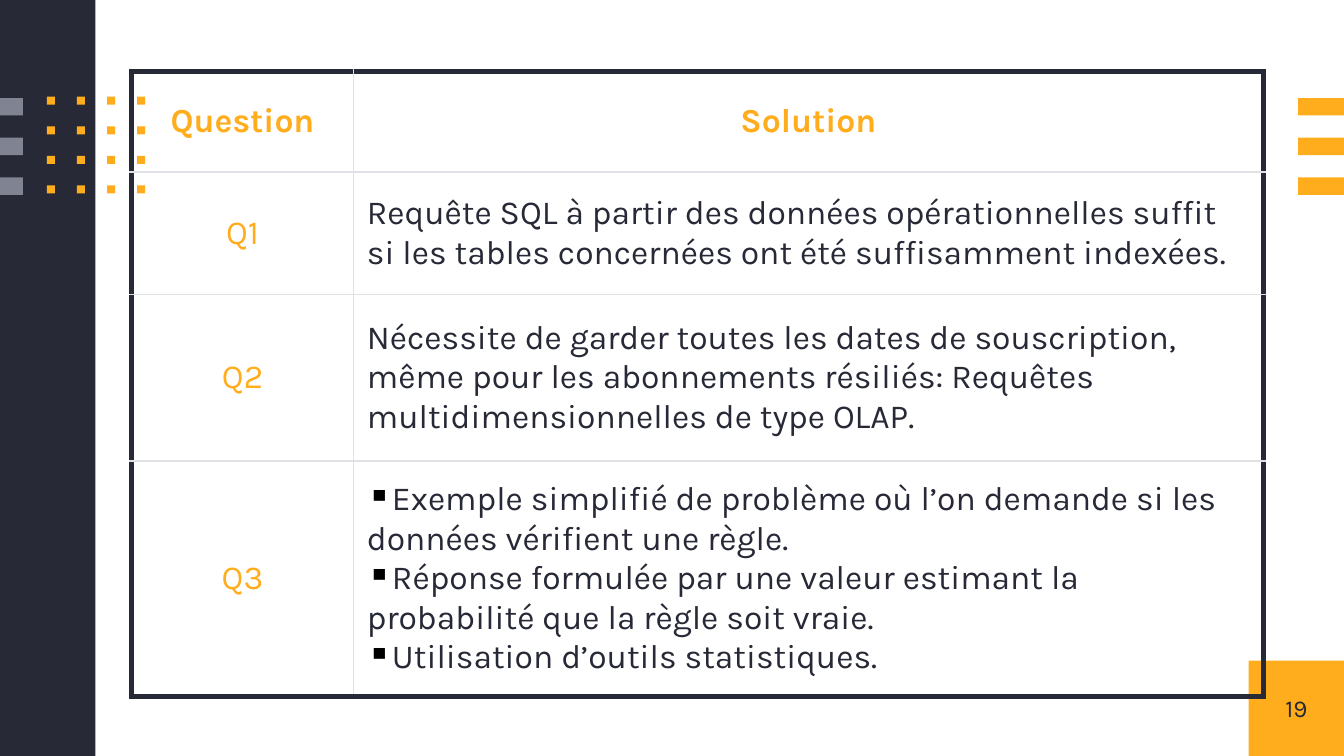
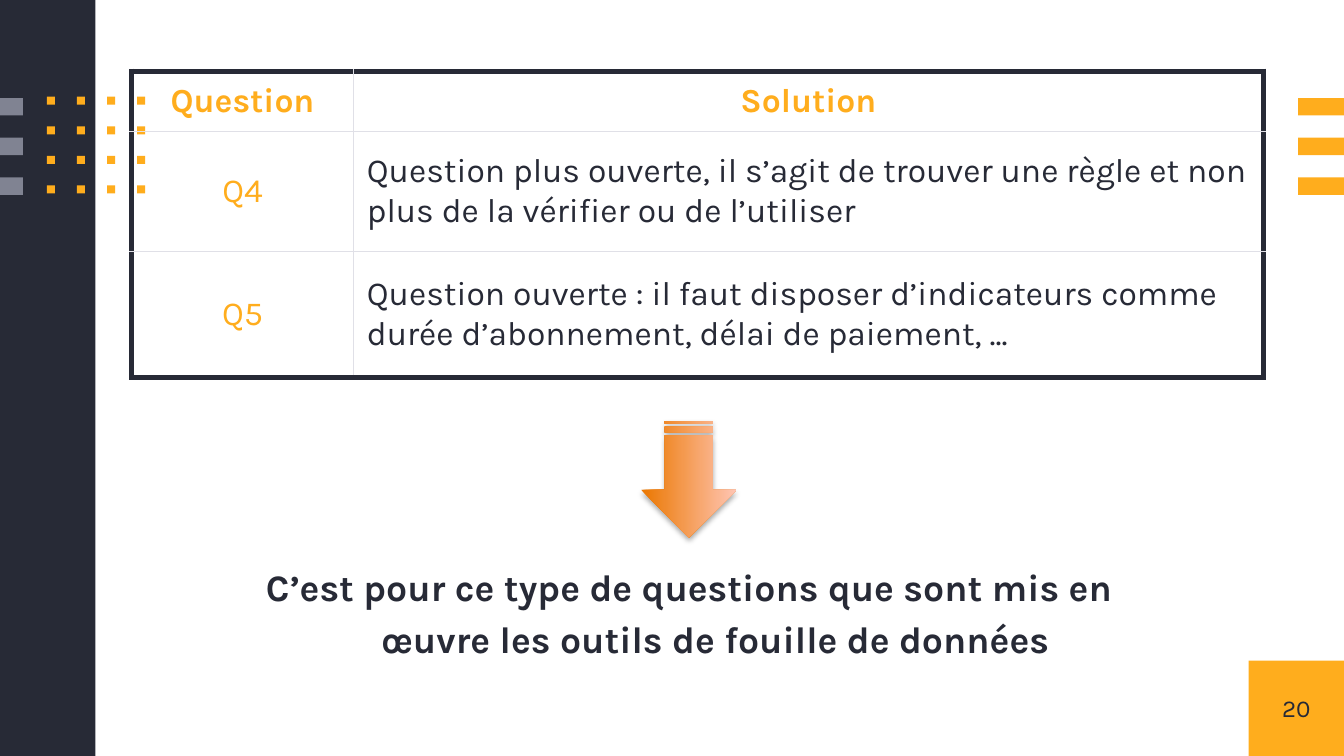
from lxml import etree
from pptx import Presentation
from pptx.dml.color import RGBColor
from pptx.enum.shapes import MSO_SHAPE
from pptx.enum.text import MSO_ANCHOR, PP_ALIGN
from pptx.oxml.ns import qn
from pptx.util import Inches, Pt

RECTANGLE = MSO_SHAPE.RECTANGLE
STRIPED_ARROW = MSO_SHAPE.STRIPED_RIGHT_ARROW
LEFT, CENTER = PP_ALIGN.LEFT, PP_ALIGN.CENTER
TOP, MIDDLE = MSO_ANCHOR.TOP, MSO_ANCHOR.MIDDLE

FONT = "Karla"
DARK, AMBER, GREY, RULE = "272A36", "FFAD1D", "808392", "E0E0E7"
WIDTH, HEIGHT = 10, 5.625
BAND = 0.71
STRIPE_TOP, STRIPE_PITCH, STRIPE_HEIGHT = 0.73, 0.59 / 2, 0.13
BLANK_LAYOUT = 6


def rgb(color):
    return RGBColor.from_string(color)


def add_child(parent, tag, **attributes):
    child = etree.SubElement(parent, qn(tag))
    for name, value in attributes.items():
        child.set(name, str(value))
    return child


def write_text(frame, text, size=18, color=DARK, bold=False, align=LEFT,
               bullet=None, margin=0, indent=0, line_spacing=None):
    for index, line in enumerate(text.split("\n")):
        paragraph = frame.paragraphs[0] if index == 0 else frame.add_paragraph()
        paragraph.text = line
        paragraph.alignment = align
        if line_spacing:
            paragraph.line_spacing = line_spacing
        properties = paragraph._p.get_or_add_pPr()
        properties.set("marL", str(Inches(margin)))
        properties.set("indent", str(Inches(indent)))
        if bullet:
            bullet_color = add_child(properties, "a:buClr")
            add_child(bullet_color, "a:srgbClr", val="000000")
            add_child(properties, "a:buChar", char=bullet)
        else:
            add_child(properties, "a:buNone")
        font = paragraph.runs[0].font
        font.name = FONT
        font.size = Pt(size)
        font.bold = bold
        font.color.rgb = rgb(color)


class Deck:
    def __init__(self):
        self.presentation = Presentation()
        self.presentation.slide_width = Inches(WIDTH)
        self.presentation.slide_height = Inches(HEIGHT)
        self.slide = None

    def add_slide(self, number):
        layout = self.presentation.slide_layouts[BLANK_LAYOUT]
        self.slide = self.presentation.slides.add_slide(layout)
        corner = (WIDTH - BAND, HEIGHT - BAND, BAND, BAND)
        self.rectangle(*corner, AMBER)
        self.rectangle(0, 0, BAND, HEIGHT, DARK)
        self.stripes(0, 0.17, GREY)
        for row in range(4):
            for column in range(4):
                self.rectangle(0.35 + 0.67 / 3 * column, 0.72 + 0.22 * row,
                               0.06, 0.06, AMBER)
        self.stripes(9.66, 0.34, AMBER)
        self.text(*corner, number, anchor=MIDDLE, size=13, align=CENTER)

    def rectangle(self, left, top, width, height, color):
        shape = self.slide.shapes.add_shape(
            RECTANGLE, Inches(left), Inches(top), Inches(width), Inches(height))
        shape.shadow.inherit = False
        shape.fill.solid()
        shape.fill.fore_color.rgb = rgb(color)
        shape.line.fill.background()

    def stripes(self, left, width, color):
        for index in range(3):
            self.rectangle(left, STRIPE_TOP + STRIPE_PITCH * index,
                           width, STRIPE_HEIGHT, color)

    def text(self, left, top, width, height, text, anchor=TOP, **style):
        box = self.slide.shapes.add_textbox(
            Inches(left), Inches(top), Inches(width), Inches(height))
        frame = box.text_frame
        frame.word_wrap = True
        frame.vertical_anchor = anchor
        frame.margin_left = frame.margin_right = 0
        frame.margin_top = frame.margin_bottom = 0
        write_text(frame, text, **style)

    def border(self, cell, side, outer):
        width, color = (3, DARK) if outer else (0.75, RULE)
        line = add_child(cell._tc.get_or_add_tcPr(), f"a:ln{side}", w=Pt(width))
        add_child(add_child(line, "a:solidFill"), "a:srgbClr", val=color)

    def cell(self, cell, text, **style):
        cell.fill.background()
        cell.vertical_anchor = MIDDLE
        cell.margin_left = cell.margin_right = Inches(0.1)
        cell.margin_top = cell.margin_bottom = Inches(0.07)
        write_text(cell.text_frame, text, **style)

    def solutions(self, row_heights, answers):
        rows = [("Question", "Solution"), *answers]
        widths = (1.65, 6.77)
        table = self.slide.shapes.add_table(
            len(rows), len(widths), Inches(0.98), Inches(0.53),
            Inches(sum(widths)), Inches(sum(row_heights))).table
        table.first_row = table.horz_banding = False
        for column, width in zip(table.columns, widths):
            column.width = Inches(width)
        for row_index, (height, texts) in enumerate(zip(row_heights, rows)):
            table.rows[row_index].height = Inches(height)
            for column_index, text in enumerate(texts):
                cell = table.cell(row_index, column_index)
                self.border(cell, "L", column_index == 0)
                self.border(cell, "R", column_index == len(widths) - 1)
                self.border(cell, "T", row_index == 0)
                self.border(cell, "B", row_index == len(rows) - 1)
                header = row_index == 0
                if header or column_index == 0:
                    self.cell(cell, text, color=AMBER, bold=header, align=CENTER)
                else:
                    self.cell(cell, text, bullet="▪" if "\n" in text else None)

    def down_arrow(self, left, top, width, height):
        shape = self.slide.shapes.add_shape(
            STRIPED_ARROW, Inches(left), Inches(top), Inches(width), Inches(height))
        shape.rotation = 90
        shape.line.fill.background()
        shape.fill.gradient()
        shape.fill.gradient_angle = 90
        stops = shape.fill.gradient_stops
        for stop, position, color in zip(stops, (0, 1), ("EB7700", "FFC5B3")):
            stop.position = position
            stop.color.rgb = rgb(color)
        shape.shadow.inherit = False
        effects = shape.element.spPr.find(qn("a:effectLst"))
        shadow = add_child(effects, "a:outerShdw", blurRad=Pt(3.1), dist=Pt(1.8),
                           dir=5400000, rotWithShape=0)
        color = add_child(shadow, "a:srgbClr", val="000000")
        add_child(color, "a:alpha", val=35000)


def main():
    deck = Deck()

    deck.add_slide("19")
    deck.solutions((0.75, 0.91, 1.24, 1.75), [
        ("Q1", "Requête SQL à partir des données opérationnelles suffit si les "
               "tables concernées ont été suffisamment indexées."),
        ("Q2", "Nécessite de garder toutes les dates de souscription, même pour "
               "les abonnements résiliés: Requêtes multidimensionnelles de type OLAP."),
        ("Q3", "Exemple simplifié de problème où l’on demande si les données "
               "vérifient une règle.\n"
               "Réponse formulée par une valeur estimant la probabilité que la "
               "règle soit vraie.\n"
               "Utilisation d’outils statistiques."),
    ])

    deck.add_slide("20")
    deck.solutions((0.45, 0.89, 0.94), [
        ("Q4", "Question plus ouverte, il s’agit de trouver une règle et non plus "
               "de la vérifier ou de l’utiliser"),
        ("Q5", "Question ouverte : il faut disposer d’indicateurs comme durée "
               "d’abonnement, délai de paiement, ..."),
    ])
    deck.down_arrow(4.69, 3.21, 0.87, BAND)
    deck.text(1.61, 4.15, 6.93, 0.87,
              "C’est pour ce type de questions que sont mis en œuvre les outils "
              "de fouille de données",
              size=20, bold=True, align=CENTER, margin=0.5, indent=-0.39,
              line_spacing=1.15)

    deck.presentation.save("out.pptx")


if __name__ == "__main__":
    main()
